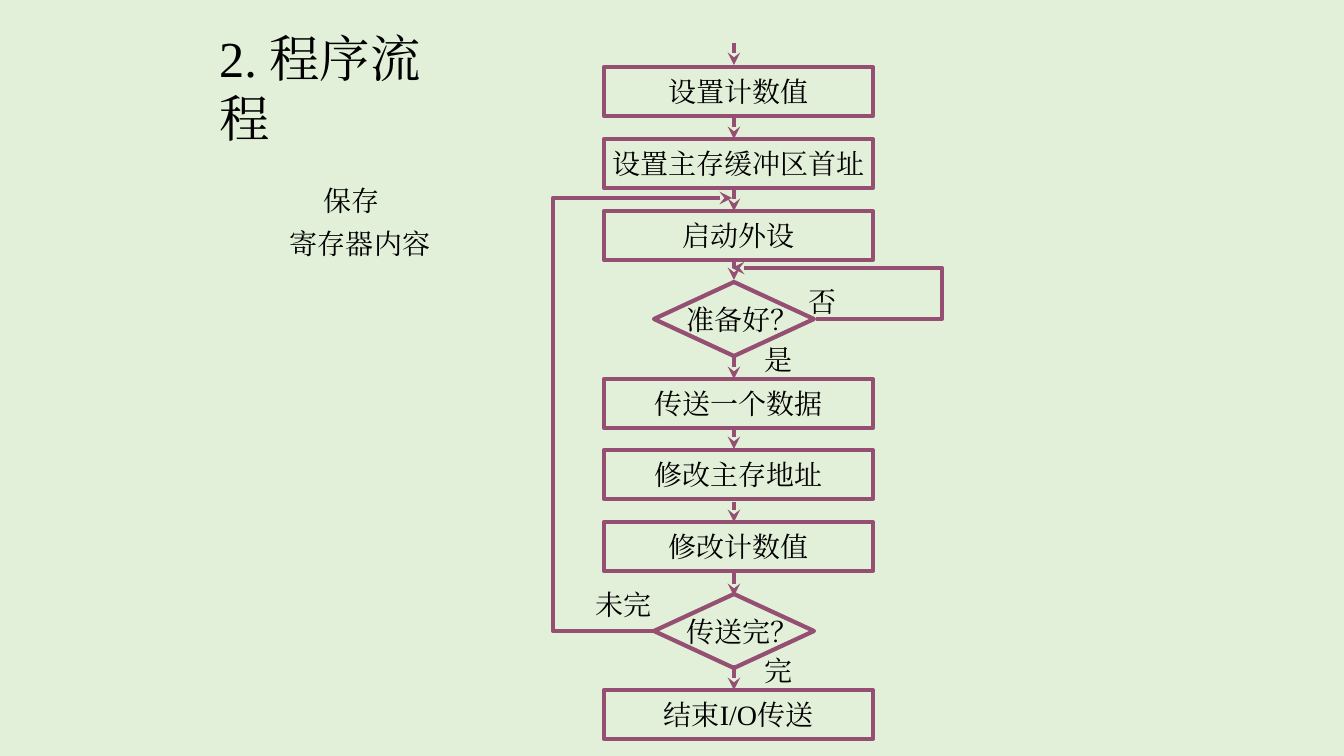
from dataclasses import dataclass

from lxml import etree
from pptx import Presentation
from pptx import util as u
from pptx.dml.color import RGBColor
from pptx.enum import shapes, text
from pptx.oxml.ns import qn

PX = 914400 / 100.8  # EMU in one px


@dataclass(frozen=True)
class Theme:
    background: RGBColor = RGBColor(0xE2, 0xF0, 0xD9)
    outline: RGBColor = RGBColor(0x95, 0x4F, 0x72)
    ink: RGBColor = RGBColor(0, 0, 0)
    font: str = "Times New Roman"
    title_size: int = 36
    body_size: int = 20
    line_width: int = 3


THEME = Theme()

# Flow chart geometry, in px
AXIS = 734
STEP_LEFT, STEP_WIDTH, STEP_HEIGHT = 604, 269, 49
DIAMOND_WIDTH, DIAMOND_HEIGHT = 160, 74
LABEL_HEIGHT = 43

STEPS = [
    ("设置计数值", 67),
    ("设置主存缓冲区首址", 139),
    ("启动外设", 211),
    ("传送一个数据", 379),
    ("修改主存地址", 450),
    ("修改计数值", 522),
    ("结束I/O传送", 690),
]
DECISIONS = [("准备好？", 282), ("传送完？", 594)]
ARROWS = [(43, 65), (118, 139), (190, 211), (260, 280), (354, 379),
          (428, 449), (502, 522), (571, 596), (665, 690)]
BRANCH_LABELS = [("否", 799, 280, 48), ("是", 755, 338, 48),
                 ("未完", 586, 583, 77), ("完", 755, 649, 48)]
LOOPS = [
    [(656, 631), (553, 631), (553, 198), (732, 198)],
    [(816, 319), (942, 319), (942, 268), (732, 268)],
]


def px(*lengths):
    return [u.Emu(round(length * PX)) for length in lengths]


def format_text(paragraph, size):
    for run in paragraph.runs:
        run.font.size = u.Pt(size)
        run.font.name = THEME.font
        run.font.color.rgb = THEME.ink
        east_asian = etree.Element(qn("a:ea"), typeface=THEME.font)
        run.font._element.find(qn("a:latin")).addnext(east_asian)


def style_line(shape, arrow=False):
    shape.line.color.rgb = THEME.outline
    shape.line.width = u.Pt(THEME.line_width)
    if arrow:
        etree.SubElement(shape.line._get_or_add_ln(), qn("a:tailEnd"), type="stealth")


def add_outline(slide, kind, left, top, width, height):
    shape = slide.shapes.add_shape(kind, *px(left, top, width, height))
    shape.shadow.inherit = False
    shape.fill.background()
    style_line(shape)
    return shape


def add_step(slide, wording, top):
    shape = add_outline(slide, shapes.MSO_SHAPE.RECTANGLE,
                        STEP_LEFT, top, STEP_WIDTH, STEP_HEIGHT)
    frame = shape.text_frame
    frame.text = wording
    frame.word_wrap = False
    frame.vertical_anchor = text.MSO_ANCHOR.MIDDLE
    frame.paragraphs[0].alignment = text.PP_ALIGN.CENTER
    format_text(frame.paragraphs[0], THEME.body_size)


def add_label(slide, wording, left, top, width):
    box = slide.shapes.add_textbox(*px(left, top, width, LABEL_HEIGHT))
    frame = box.text_frame
    frame.text = wording
    frame.word_wrap = False
    frame.auto_size = text.MSO_AUTO_SIZE.SHAPE_TO_FIT_TEXT
    format_text(frame.paragraphs[0], THEME.body_size)


def add_decision(slide, wording, top):
    add_outline(slide, shapes.MSO_SHAPE.DIAMOND, AXIS - DIAMOND_WIDTH // 2, top,
                DIAMOND_WIDTH, DIAMOND_HEIGHT)
    add_label(slide, wording, AXIS - 57, top + 16, 132)


def add_arrow(slide, start, end):
    arrow = slide.shapes.add_connector(shapes.MSO_CONNECTOR.STRAIGHT,
                                       *px(AXIS, start, AXIS, end))
    style_line(arrow, arrow=True)
    etree.SubElement(arrow._element.spPr, qn("a:effectLst"))


def add_loop(slide, points):
    builder = slide.shapes.build_freeform(*points[0], scale=PX)
    builder.add_line_segments(points[1:], close=False)
    loop = builder.convert_to_shape()
    loop.shadow.inherit = False
    loop.fill.background()
    style_line(loop, arrow=True)


def add_title(slide, wording):
    title = slide.shapes.title
    title.left, title.top, title.width, title.height = px(209, 22, 272, 131)
    frame = title.text_frame
    frame.text = wording
    frame.word_wrap = True
    frame.auto_size = text.MSO_AUTO_SIZE.NONE
    frame.vertical_anchor = text.MSO_ANCHOR.TOP
    frame.paragraphs[0].alignment = text.PP_ALIGN.LEFT
    format_text(frame.paragraphs[0], THEME.title_size)


def add_note(slide, lines):
    box = slide.shapes.add_textbox(*px(261, 168, 220, 100))
    frame = box.text_frame
    frame.word_wrap = True
    frame.text = "\n".join(wording for wording, _ in lines)
    for paragraph, (_, indent) in zip(frame.paragraphs, lines):
        paragraph._p.get_or_add_pPr().set("marL", str(px(indent)[0]))
        paragraph.line_spacing = 1.3
        format_text(paragraph, THEME.body_size)


def main():
    presentation = Presentation()
    presentation.slide_width, presentation.slide_height = px(1344, 756)
    slide = presentation.slides.add_slide(presentation.slide_layouts.get_by_name("Title Only"))
    slide.background.fill.solid()
    slide.background.fill.fore_color.rgb = THEME.background

    # Heading and side note
    add_title(slide, "2. 程序流程")
    add_note(slide, [("保存", 53), ("寄存器内容", 19)])

    # Steps and decisions
    for wording, top in STEPS:
        add_step(slide, wording, top)
    for wording, top in DECISIONS:
        add_decision(slide, wording, top)

    # Flow lines and branch labels
    for start, end in ARROWS:
        add_arrow(slide, start, end)
    for points in LOOPS:
        add_loop(slide, points)
    for label in BRANCH_LABELS:
        add_label(slide, *label)

    presentation.save("out.pptx")


if __name__ == "__main__":
    main()
